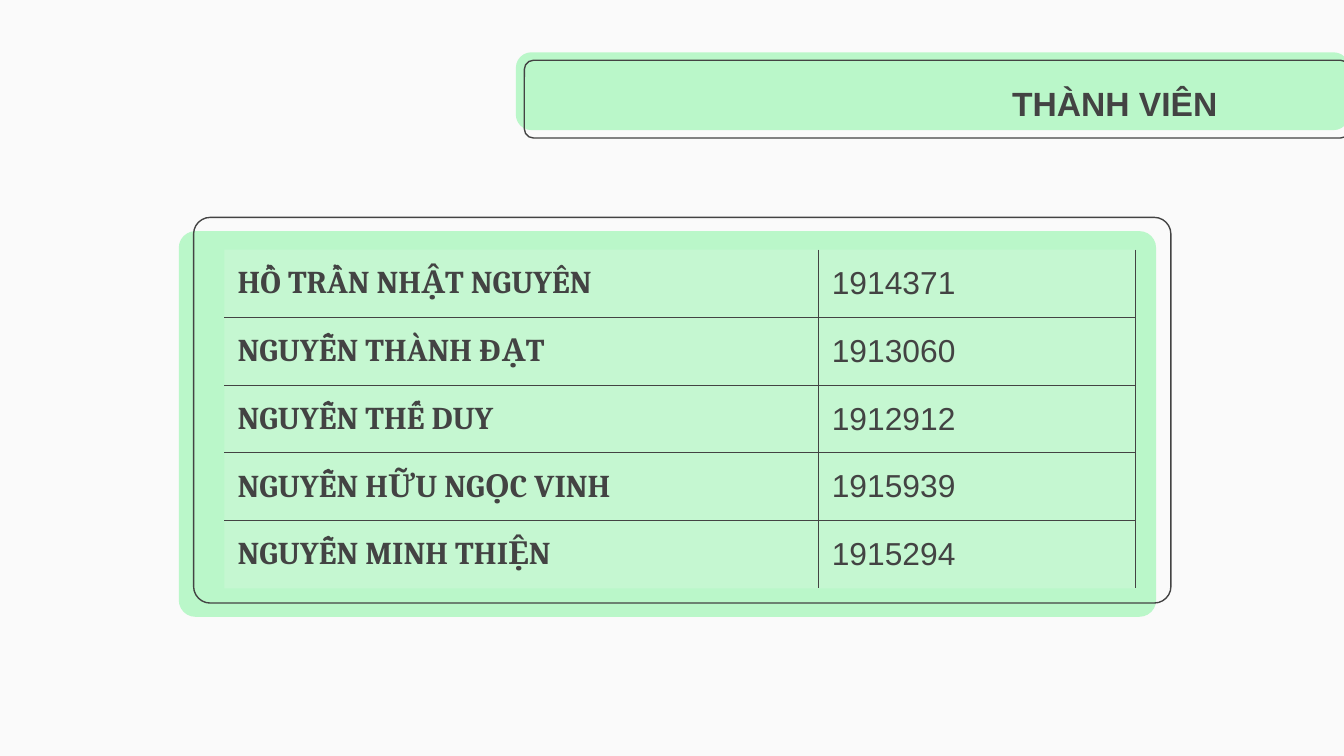
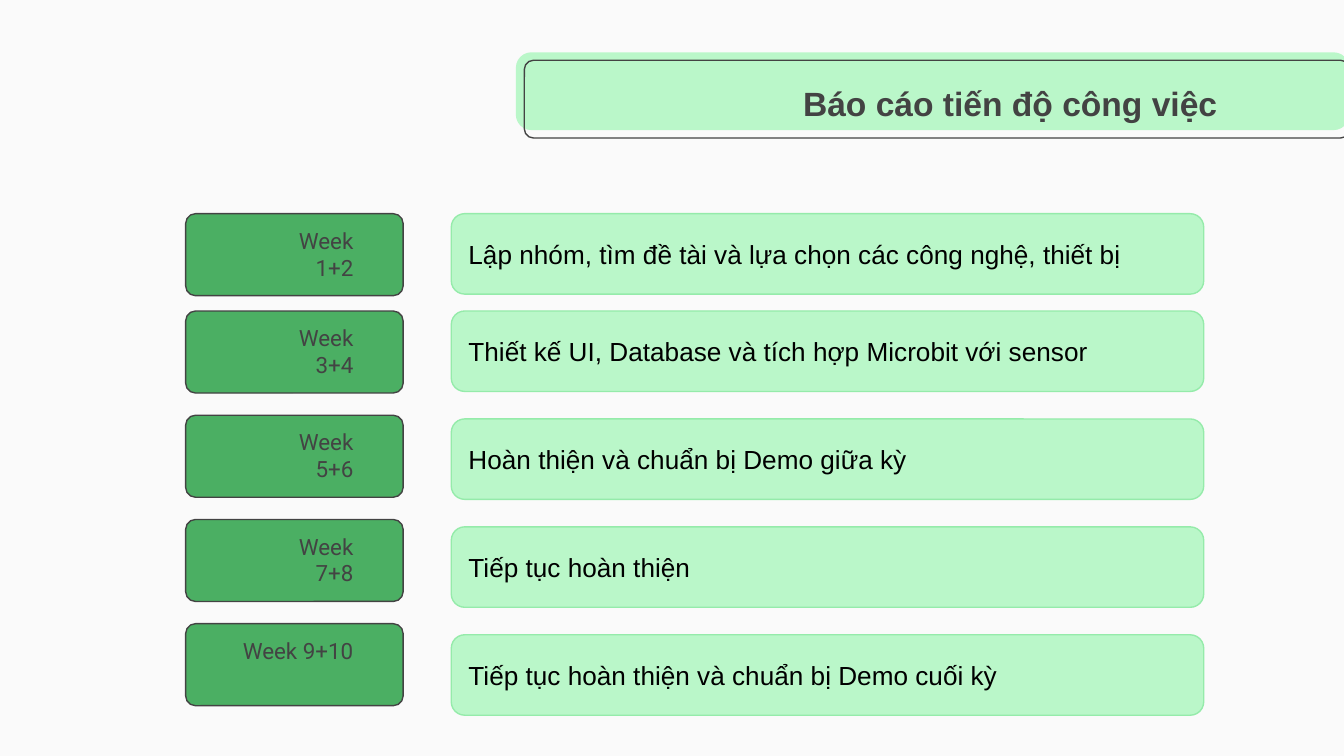
from dataclasses import dataclass

from lxml import etree
from pptx import Presentation
from pptx import util as u
from pptx.dml.color import RGBColor
from pptx.enum import shapes, text
from pptx.oxml import ns

Cm, Pt = u.Cm, u.Pt


@dataclass(frozen=True)
class Theme:
    paper: str = "FAFAFA"
    ink: str = "434343"
    black: str = "000000"
    mint: str = "BAF7C9"
    mint_edge: str = "95EBAA"
    green: str = "4BAF63"
    sans: str = "Arial"
    serif: str = "Cambria"
    label: str = "Roboto"
    title_size: int = 18
    table_size: int = 17
    body_size: int = 14
    label_size: int = 12
    line: float = 0.75
    inset: float = 0.25
    cell_opacity: int = 18


class Deck:
    def __init__(self, theme):
        self.t = theme
        self.prs = Presentation()
        self.prs.slide_width, self.prs.slide_height = Cm(25.4), Cm(14.29)
        self.s = None

    def slide(self, title):
        """Start a slide with the shared background, title band and title."""
        t = self.t
        self.s = self.prs.slides.add_slide(self.prs.slide_layouts[6])
        fill = self.s.background.fill
        fill.solid()
        fill.fore_color.rgb = RGBColor.from_string(t.paper)
        self.box(9.75, 0.99, 15.75, 1.47, 0.199, fill=t.mint)
        self.box(9.91, 1.14, 15.6, 1.47, 0.119, line=t.ink)
        self.label(14.4, 1.27, 8.86, 1.35, title, t.title_size, t.sans, bold=True,
                   align=text.PP_ALIGN.RIGHT, anchor=text.MSO_ANCHOR.MIDDLE)

    def box(self, x, y, w, h, radius, fill=None, line=None):
        sp = self.s.shapes.add_shape(shapes.MSO_SHAPE.ROUNDED_RECTANGLE,
                                     Cm(x), Cm(y), Cm(w), Cm(h))
        sp.adjustments[0] = radius
        sp.shadow.inherit = False
        if fill:
            sp.fill.solid()
            sp.fill.fore_color.rgb = RGBColor.from_string(fill)
        else:
            sp.fill.background()
        if line:
            sp.line.color.rgb = RGBColor.from_string(line)
            sp.line.width = Pt(self.t.line)
        else:
            sp.line.fill.background()
        return sp

    def label(self, x, y, w, h, words, size, font, **style):
        sp = self.s.shapes.add_textbox(Cm(x), Cm(y), Cm(w), Cm(h))
        self.set_text(sp, words, size, font, **style)
        return sp

    def set_text(self, sp, words, size, font, color=None, bold=False,
                 align=text.PP_ALIGN.LEFT, anchor=text.MSO_ANCHOR.TOP):
        """Put words into a shape or a table cell."""
        tf = sp.text_frame
        tf.text = words
        tf.word_wrap = True
        # A cell keeps its own margins and anchor; a shape keeps them in its frame.
        frame = sp if hasattr(sp, "margin_left") else tf
        frame.vertical_anchor = anchor
        frame.margin_left = frame.margin_right = Cm(self.t.inset)
        frame.margin_top = frame.margin_bottom = Cm(self.t.inset)
        p = tf.paragraphs[0]
        p.alignment = align
        for r in p.runs:
            r.font.name, r.font.size, r.font.bold = font, Pt(size), bold
            r.font.color.rgb = RGBColor.from_string(color or self.t.ink)

    def table(self, x, y, col_widths, row_height, rows, fonts):
        """Add a table ruled between its cells and along its right side."""
        t = self.t
        frame = self.s.shapes.add_table(len(rows), len(col_widths), Cm(x), Cm(y),
                                        Cm(sum(col_widths)), Cm(row_height * len(rows)))
        table = frame.table
        table.first_row = table.horz_banding = False
        for col, width in zip(table.columns, col_widths):
            col.width = Cm(width)
        for i, row in enumerate(rows):
            table.rows[i].height = Cm(row_height)
            for j, words in enumerate(row):
                cell = table.cell(i, j)
                self.set_text(cell, words, t.table_size, fonts[j], bold=j == 0,
                              anchor=text.MSO_ANCHOR.MIDDLE)
                self.tint(cell)
                self.borders(cell, L=j > 0, R=True, T=i > 0, B=i < len(rows) - 1)

    def tint(self, cell):
        cell.fill.solid()
        cell.fill.fore_color.rgb = RGBColor.from_string(self.t.paper)
        clr = cell._tc.tcPr.find(".//" + ns.qn("a:srgbClr"))
        etree.SubElement(clr, ns.qn("a:alpha"), val=str(self.t.cell_opacity * 1000))

    def borders(self, cell, **sides):
        """Draw the sides that are true and clear the others."""
        for k, (side, shown) in enumerate(sides.items()):
            ln = etree.Element(ns.qn(f"a:ln{side}"), w=str(int(Pt(self.t.line))))
            if shown:
                fill = etree.SubElement(ln, ns.qn("a:solidFill"))
                etree.SubElement(fill, ns.qn("a:srgbClr"), val=self.t.ink)
            else:
                etree.SubElement(ln, ns.qn("a:noFill"))
            cell._tc.tcPr.insert(k, ln)


def members_slide(d):
    t = d.t
    d.slide("THÀNH VIÊN")
    d.box(3.38, 4.37, 18.47, 7.29, 0.043, fill=t.mint)
    d.box(3.66, 4.11, 18.47, 7.29, 0.043, line=t.ink)
    members = [
        ("HỒ TRẦN NHẬT NGUYÊN", "1914371"),
        ("NGUYỄN THÀNH ĐẠT", "1913060"),
        ("NGUYỄN THẾ DUY", "1912912"),
        ("NGUYỄN HỮU NGỌC VINH", "1915939"),
        ("NGUYỄN MINH THIỆN", "1915294"),
    ]
    d.table(4.24, 4.72, (11.23, 5.99), 1.28, members, (t.serif, t.sans))


def progress_slide(d):
    t = d.t
    d.slide("Báo cáo tiến độ công việc")
    tasks = [
        ("Week 1+2", "Lập nhóm, tìm đề tài và lựa chọn các công nghệ, thiết bị"),
        ("Week 3+4", "Thiết kế UI, Database và tích hợp Microbit với sensor"),
        ("Week 5+6", "Hoàn thiện và chuẩn bị Demo giữa kỳ"),
        ("Week 7+8", "Tiếp tục hoàn thiện"),
        ("Week 9+10", "Tiếp tục hoàn thiện và chuẩn bị Demo cuối kỳ"),
    ]
    label_right = 6.93
    for i, (week, task) in enumerate(tasks):
        # The first row stands closer; the others follow at an even step.
        week_top = 5.88 + 1.97 * (i - 1) if i else 4.04
        task_top = 5.88 + 2.04 * (i - 1) if i else 4.04
        d.box(3.51, week_top, 4.11, 1.55, 0.119, fill=t.green, line=t.ink)
        width = 2.82 if len(week) > 8 else 2.03
        label = d.label(label_right - width, week_top, width, 1.27, week,
                        t.label_size, t.label, align=text.PP_ALIGN.RIGHT)
        label.text_frame.paragraphs[0].space_after = Pt(16)
        bar = d.box(8.53, task_top, 14.22, 1.52, 0.167, fill=t.mint, line=t.mint_edge)
        d.set_text(bar, task, t.body_size, t.sans, color=t.black,
                   anchor=text.MSO_ANCHOR.MIDDLE)


def main():
    d = Deck(Theme())
    members_slide(d)
    progress_slide(d)
    d.prs.save("out.pptx")


if __name__ == "__main__":
    main()
